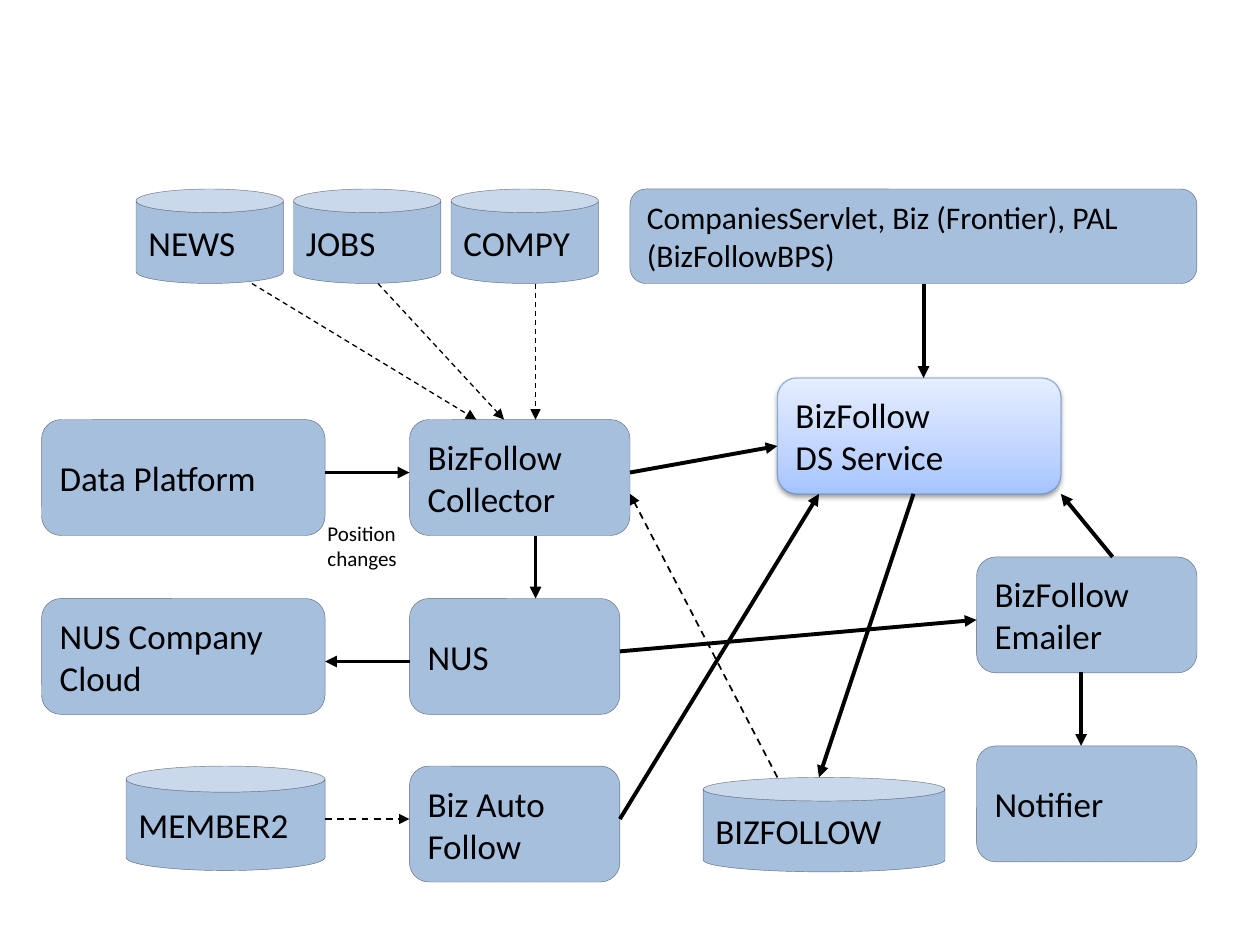
from pptx import Presentation
from pptx import util as u
from pptx.dml.color import RGBColor
from pptx.enum import dml, shapes, text
from pptx.oxml import parse_xml
from pptx.oxml.ns import nsdecls, qn
from lxml import etree

BLUE = RGBColor(0x4F, 0x81, 0xBD)
EDGE = RGBColor(0x4B, 0x7E, 0xBC)
BLACK = RGBColor(0, 0, 0)
FONT = "Calibri"
GLOW = [(0, "A4C4FF"), (35, "BFD4FF"), (100, "E6EEFF")]

# Services: lines, left, top, width
TALL = 0.92
SERVICES = [
    (["Data Platform"], 0.33, 3.33, 2.25),
    (["NUS Company", "Cloud"], 0.33, 4.75, 2.25),
    (["NUS"], 3.25, 4.75, 1.67),
    (["BizFollow", "Collector"], 3.25, 3.33, 1.75),
    (["Biz Auto", "Follow"], 3.25, 6.08, 1.67),
    (["BizFollow", "Emailer"], 7.75, 4.42, 1.75),
    (["Notifier"], 7.75, 5.92, 1.75),
]
CLIENTS = ["CompaniesServlet, Biz (Frontier), PAL", "(BizFollowBPS)"]
CORE = ["BizFollow", "DS Service"]

# Databases: name, left, top, width, height
SOURCES = ["NEWS", "JOBS", "COMPY"]
STORES = [(name, 1.08 + 1.25 * i, 1.5, 1.17, 0.75)
          for i, name in enumerate(SOURCES)]
STORES += [("MEMBER2", 1, 6.08, 1.58, 0.83),
           ("BIZFOLLOW", 5.58, 6.17, 1.92, 0.75)]

# Arrows: x and y of the start, x and y of the end
CALLS = [
    (2.58, 3.75, 3.25, 3.75), (3.25, 5.25, 2.58, 5.25),
    (4.25, 4.25, 4.25, 4.75), (4.92, 6.5, 6.5, 3.92),
    (7.33, 2.25, 7.33, 3), (7.25, 3.92, 6.5, 6.17),
    (8.58, 5.33, 8.58, 5.92), (8.83, 4.42, 8.42, 3.92),
    (4.92, 5.17, 7.75, 4.92), (5, 3.75, 6.17, 3.54),
]
FEEDS = [(2, 2.25, 3.78, 3.33), (3, 2.25, 4, 3.33), (4.25, 2.25, 4.25, 3.33)]
READS = [(2.58, 6.5, 3.25, 6.5), (6.17, 6.17, 5, 3.92)]

deck = Presentation()
deck.slide_width, deck.slide_height = u.Inches(10), u.Inches(7.5)
slide = deck.slides.add_slide(deck.slide_layouts[6])


def write(shape, lines, size=20, color=BLACK):
    frame = shape.text_frame
    frame.word_wrap = True
    frame.vertical_anchor = text.MSO_ANCHOR.MIDDLE
    for i, line in enumerate(lines):
        para = frame.add_paragraph() if i else frame.paragraphs[0]
        para.alignment = text.PP_ALIGN.LEFT
        run = para.add_run()
        run.text = line
        run.font.name, run.font.size = FONT, u.Pt(size)
        run.font.color.rgb = color


def fade(fill):
    """Make a solid colour half transparent."""
    tint = fill._xPr.find(qn("a:solidFill"))[0]
    etree.SubElement(tint, qn("a:alpha"), val="50000")


def node(kind, lines, x, y, w, h, size=20):
    shape = slide.shapes.add_shape(kind, *map(u.Inches, (x, y, w, h)))
    shape.shadow.inherit = False
    for fill, color in ((shape.fill, BLUE), (shape.line.fill, BLACK)):
        fill.solid()
        fill.fore_color.rgb = color
        fade(fill)
    shape.line.width = u.Pt(0.25)
    write(shape, lines, size)
    return shape


def arrow(ends, width, dashed=False):
    line = slide.shapes.add_connector(
        shapes.MSO_CONNECTOR.STRAIGHT, *map(u.Inches, ends))
    line.line.color.rgb = BLACK
    line.line.width = u.Pt(width)
    if dashed:
        line.line.dash_style = dml.MSO_LINE.DASH
    etree.SubElement(line.line._get_or_add_ln(), qn("a:tailEnd"),
                     type="triangle")
    etree.SubElement(line._element.spPr, qn("a:effectLst"))


# Boxes and databases
BOX = shapes.MSO_SHAPE.ROUNDED_RECTANGLE
node(BOX, CLIENTS, 5, 1.5, 4.5, 0.75, size=18)
for lines, x, y, w in SERVICES:
    node(BOX, lines, x, y, w, TALL)
for name, *place in STORES:
    node(shapes.MSO_SHAPE.CAN, [name], *place)

# Central service with gradient and shadow
core = node(BOX, CORE, 6.17, 3, 2.25, TALL)
core.line.color.rgb = EDGE
core.line.width = u.Pt(0.75)
stops = "".join(f'<a:gs pos="{pos * 1000}"><a:srgbClr val="{tone}"/></a:gs>'
                for pos, tone in GLOW)
props = core._element.spPr
props.replace(props.find(qn("a:solidFill")), parse_xml(
    f'<a:gradFill {nsdecls("a")} rotWithShape="1"><a:gsLst>{stops}</a:gsLst>'
    '<a:lin ang="16200000" scaled="0"/></a:gradFill>'))
props.find(qn("a:effectLst")).append(parse_xml(
    f'<a:outerShdw {nsdecls("a")} blurRad="{u.Pt(3.1)}" dist="{u.Pt(1.6)}" '
    'dir="5400000" rotWithShape="0"><a:srgbClr val="000000">'
    '<a:alpha val="38000"/></a:srgbClr></a:outerShdw>'))

# Arrows
for group, width, dashed in ((CALLS, 2.25, False), (FEEDS, 0.75, True),
                             (READS, 1, True)):
    for ends in group:
        arrow(ends, width, dashed)

# Label
label = slide.shapes.add_textbox(*map(u.Inches, (2.5, 4.08, 0.89, 0.5)))
write(label, ["Position", "changes"], size=12)

deck.save("out.pptx")
